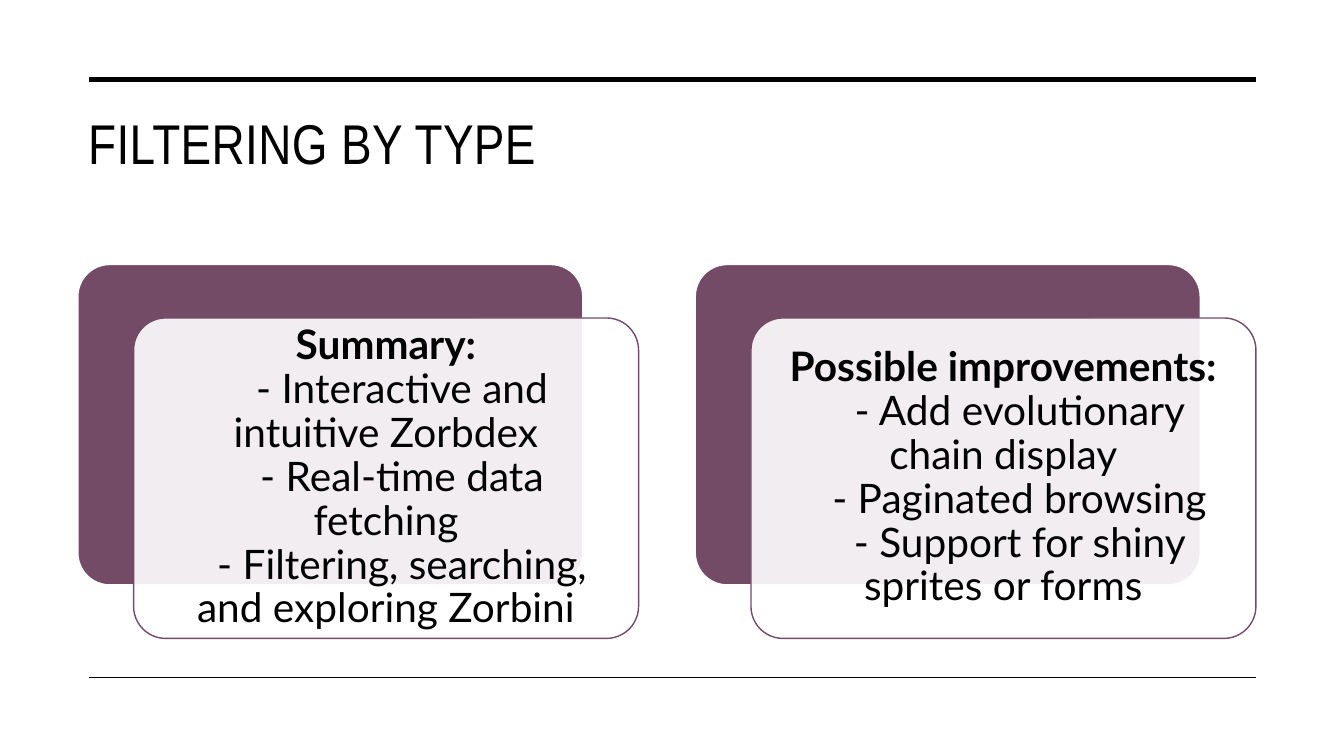
from lxml import etree
from pptx import Presentation
from pptx.dml.color import RGBColor
from pptx.enum import shapes, text
from pptx.oxml import ns
from pptx.util import Pt

BLACK = RGBColor(0x00, 0x00, 0x00)
WHITE = RGBColor(0xFF, 0xFF, 0xFF)
PLUM = RGBColor(0x73, 0x4B, 0x67)

CARDS = [
    ("Summary:", ["- Interactive and intuitive Zorbdex",
                  "- Real-time data fetching",
                  "- Filtering, searching, and exploring Zorbini"]),
    ("Possible improvements:", ["- Add evolutionary chain display",
                                "- Paginated browsing",
                                "- Support for shiny sprites or forms"]),
]


def add_text(p, words, font, size, bold=False, spacing=None):
    """Add one formatted run to a paragraph."""
    r = p.add_run()
    r.text = words
    r.font.name = font
    r.font.size = Pt(size)
    r.font.bold = bold
    r.font.color.rgb = BLACK
    if spacing is not None:
        r.font._element.set("spc", str(spacing))


def add_rule(s, left, right, y, weight):
    """Draw a horizontal black rule."""
    line = s.shapes.add_connector(shapes.MSO_CONNECTOR.STRAIGHT,
                                  Pt(left), Pt(y), Pt(right), Pt(y))
    line.line.color.rgb = BLACK
    line.line.width = Pt(weight)
    etree.SubElement(line._element.spPr, ns.qn("a:effectLst"))


def add_panel(s, x, y, w, h, fill, outline, alpha=None):
    """Draw a rounded panel, translucent when alpha is a percentage."""
    sp = s.shapes.add_shape(shapes.MSO_SHAPE.ROUNDED_RECTANGLE,
                            Pt(x), Pt(y), Pt(w), Pt(h))
    sp.adjustments[0] = 0.1
    sp.shadow.inherit = False
    sp.fill.solid()
    sp.fill.fore_color.rgb = fill
    sp.line.color.rgb = outline
    sp.line.width = Pt(1)
    if alpha is not None:
        color = sp._element.spPr.find(ns.qn("a:solidFill"))[0]
        etree.SubElement(color, ns.qn("a:alpha"), val=str(alpha * 1000))
    return sp


def set_insets(tf, side, top):
    """Set the horizontal and vertical margins of a text frame."""
    tf.margin_left = tf.margin_right = Pt(side)
    tf.margin_top = tf.margin_bottom = Pt(top)
    tf.word_wrap = True


def add_heading(s, x, y, w, h, words):
    """Place the slide title in the given box."""
    sp = s.shapes.title
    sp.left, sp.top, sp.width, sp.height = Pt(x), Pt(y), Pt(w), Pt(h)
    tf = sp.text_frame
    set_insets(tf, 7.2, 6.5)
    tf.auto_size = text.MSO_AUTO_SIZE.NONE
    tf.vertical_anchor = text.MSO_ANCHOR.TOP
    p = tf.paragraphs[0]
    p.alignment = text.PP_ALIGN.LEFT
    add_text(p, words, "Arial Narrow", 40, spacing=30)


def add_card(s, x, y, w, h, heading, items):
    """Place a plum panel and its offset text card in the given box."""
    dx, dy = 39.8, 38.2
    panel_w, panel_h = w - dx, h - dy
    add_panel(s, x, y, panel_w, panel_h, PLUM, WHITE)
    card = add_panel(s, x + dx, y + dy, panel_w, panel_h, WHITE, PLUM, alpha=90)
    tf = card.text_frame
    set_insets(tf, 8.6, 8.6)
    tf.vertical_anchor = text.MSO_ANCHOR.MIDDLE
    for i, words in enumerate([heading] + items):
        p = tf.add_paragraph() if i else tf.paragraphs[0]
        p.alignment = text.PP_ALIGN.CENTER
        p.line_spacing = 0.9
        p.space_before = p.space_after = Pt(0)
        if i:
            p._p.get_or_add_pPr().set("indent", str(Pt(23)))
        add_text(p, words, "Lato", 29, bold=i == 0)


def main():
    """Build and save the slide."""
    prs = Presentation()
    prs.slide_width, prs.slide_height = Pt(960), Pt(540)
    s = prs.slides.add_slide(prs.slide_layouts[5])
    add_heading(s, 55.8, 71.3, 841.7, 90.7, "FILTERING BY TYPE")
    for y, weight in [(56.9, 3.5), (483.8, 1)]:
        add_rule(s, 63.4, 897.1, y, weight)
    for i, (heading, items) in enumerate(CARDS):
        add_card(s, 55.6 + i * 441, 188.9, 400.5, 267.1, heading, items)
    prs.save("out.pptx")


if __name__ == "__main__":
    main()
